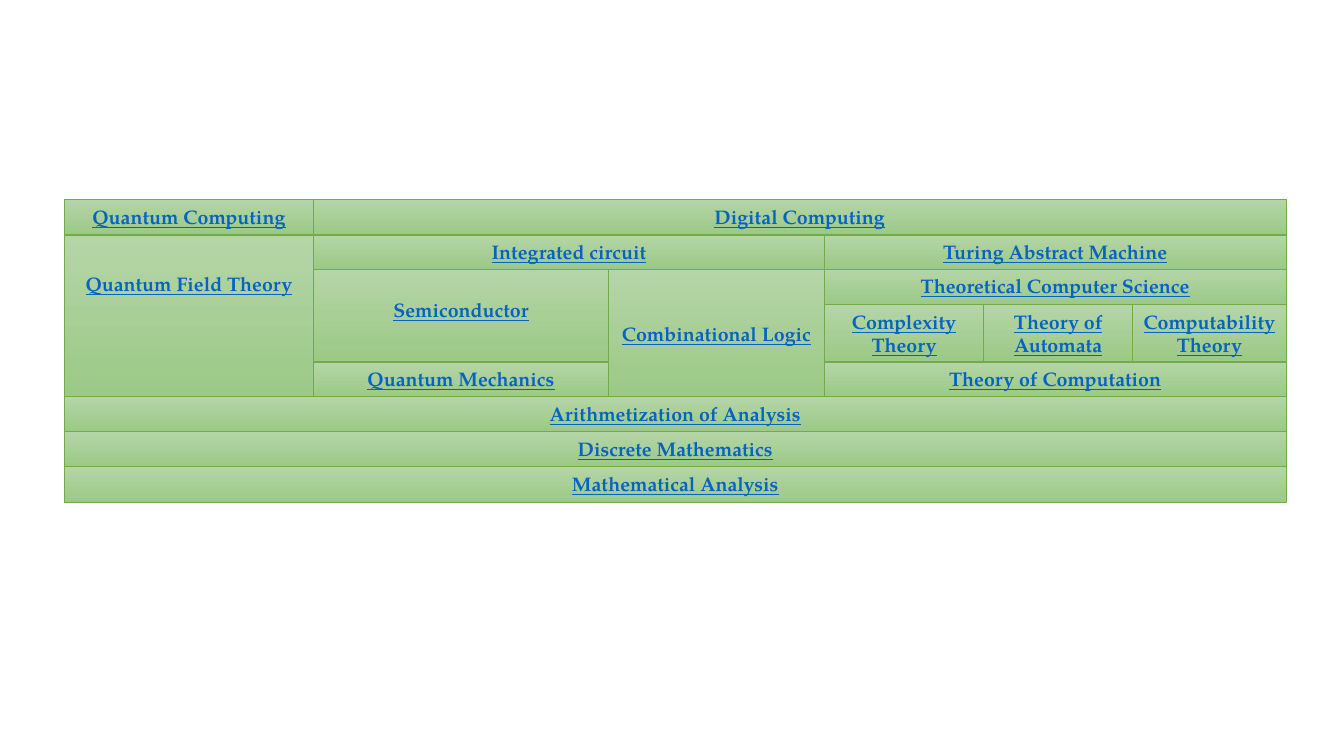
"""Build a slide that stacks the fields of computing on their foundations."""
from dataclasses import dataclass

import pptx
import pptx.dml.color
import pptx.enum.shapes
import pptx.enum.text
import pptx.util

Cm = pptx.util.Cm
COLS = (1.63, 7.9, 15.34, 20.78, 24.79, 28.55, 32.41)
ROWS = (5.03, 5.92, 6.78, 7.67, 9.12, 10, 10.87, 11.76, 12.65)
STOPS = ("B5D5A7", "9CC987")
FRAME = {
    "word_wrap": True,
    "auto_size": pptx.enum.text.MSO_AUTO_SIZE.NONE,
    "vertical_anchor": pptx.enum.text.MSO_ANCHOR.TOP,
    "margin_left": Cm(0.2),
    "margin_right": Cm(0.2),
    "margin_bottom": Cm(0.13),
}
FONT = {
    "name": "TeX Gyre Pagella",
    "size": pptx.util.Pt(14),
    "bold": True,
    "underline": True,
}


@dataclass(frozen=True)
class Block:
    text: str
    left: int
    right: int
    top: int
    end: int
    drop: float = 0


BLOCKS = (
    Block("Quantum Computing", 0, 1, 0, 1),
    Block("Digital Computing", 1, 6, 0, 1),
    Block("Quantum Field Theory", 0, 1, 1, 5, 0.81),
    Block("Integrated circuit", 1, 3, 1, 2),
    Block("Turing Abstract Machine", 3, 6, 1, 2),
    Block("Semiconductor", 1, 2, 2, 4, 0.6),
    Block("Combinational Logic", 2, 3, 2, 5, 1.2),
    Block("Theoretical Computer Science", 3, 6, 2, 3),
    Block("Complexity Theory", 3, 4, 3, 4),
    Block("Theory of Automata", 4, 5, 3, 4),
    Block("Computability Theory", 5, 6, 3, 4),
    Block("Quantum Mechanics", 1, 2, 4, 5),
    Block("Theory of Computation", 3, 6, 4, 5),
    Block("Arithmetization of Analysis", 0, 6, 5, 6),
    Block("Discrete Mathematics", 0, 6, 6, 7),
    Block("Mathematical Analysis", 0, 6, 7, 8),
)


def tint(code: str) -> pptx.dml.color.RGBColor:
    return pptx.dml.color.RGBColor.from_string(code)


def style(target: object, look: dict) -> None:
    for key, value in look.items():
        setattr(target, key, value)


def draw(slide: pptx.slide.Slide, block: Block) -> None:
    left, top = COLS[block.left], ROWS[block.top]
    width, height = COLS[block.right] - left, ROWS[block.end] - top
    shape = slide.shapes.add_shape(
        pptx.enum.shapes.MSO_SHAPE.RECTANGLE,
        Cm(left), Cm(top), Cm(width), Cm(height),
    )
    shape.shadow.inherit = False
    shape.fill.gradient()
    shape.fill.gradient_angle = 270
    for stop, code in zip(shape.fill.gradient_stops, STOPS):
        stop.color.rgb = tint(code)
        stop.position = STOPS.index(code)
    shape.line.color.rgb = tint("70AD47")
    shape.line.width = pptx.util.Pt(0.5)
    frame = shape.text_frame
    style(frame, FRAME | {"margin_top": Cm(0.13 + block.drop)})
    para = frame.paragraphs[0]
    para.alignment = pptx.enum.text.PP_ALIGN.CENTER
    run = para.add_run()
    run.text = block.text
    style(run.font, FONT)
    run.font.color.rgb = tint("0563C1")


def main() -> None:
    deck = pptx.Presentation()
    style(deck, {"slide_width": Cm(33.87), "slide_height": Cm(19.05)})
    slide = deck.slides.add_slide(deck.slide_layouts[6])
    for block in BLOCKS:
        draw(slide, block)
    deck.save("out.pptx")


main()
